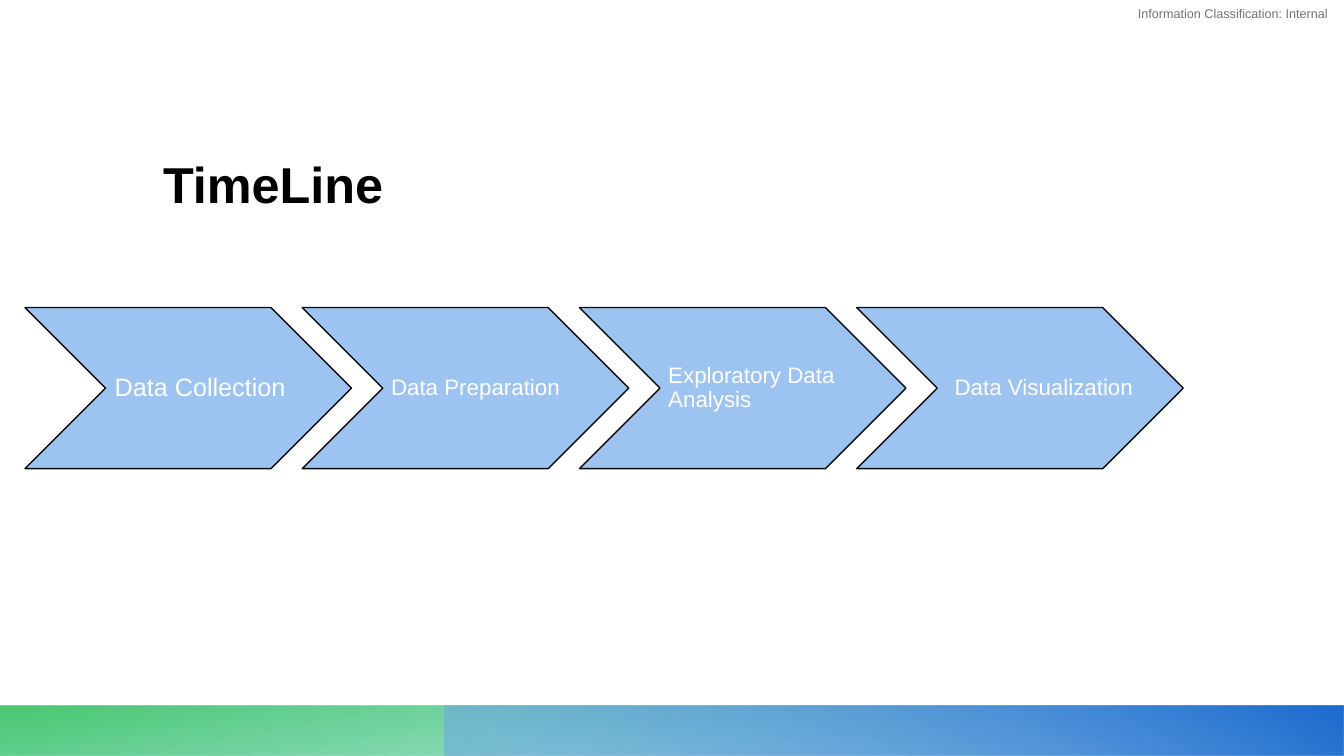
import pptx
import pptx.util
import pptx.dml.color
import pptx.enum.shapes
import pptx.enum.text
import pptx.oxml.ns
from lxml import etree

Cm, Pt = pptx.util.Cm, pptx.util.Pt
RGBColor = pptx.dml.color.RGBColor
qn = pptx.oxml.ns.qn
SHAPE = pptx.enum.shapes.MSO_SHAPE
ALIGN = pptx.enum.text.PP_ALIGN
ANCHOR = pptx.enum.text.MSO_ANCHOR

FONT = "Arial"
BLACK = RGBColor(0x00, 0x00, 0x00)
WHITE = RGBColor(0xFF, 0xFF, 0xFF)
GREY = RGBColor(0x73, 0x73, 0x73)
OUTLINE = RGBColor(0x0C, 0x0C, 0x0C)
STEP_BLUE = RGBColor(0x9D, 0xC3, 0xF1)
TEAL = RGBColor(0x1A, 0xB8, 0x8D)
GREEN = RGBColor(0x28, 0xBD, 0x56)
LIGHT_BLUE = RGBColor(0x6D, 0xA4, 0xEB)
DEEP_BLUE = RGBColor(0x1D, 0x6C, 0xCF)

SLIDE_W, SLIDE_H = 33.87, 19.05


def write(frame, text, size, color, align, anchor, insets, bold=False):
    """Fill a text frame with one run; insets are left, top, right, bottom in cm."""
    frame.word_wrap = True
    frame.vertical_anchor = anchor
    (frame.margin_left, frame.margin_top,
     frame.margin_right, frame.margin_bottom) = [Cm(inset) for inset in insets]
    paragraph = frame.paragraphs[0]
    paragraph.alignment = align
    run = paragraph.add_run()
    run.text = text
    run.font.name, run.font.size, run.font.bold = FONT, Pt(size), bold
    run.font.color.rgb = color
    return paragraph


def gradient_band(slide, box, stops, angle):
    """Stops are (position %, colour, opacity %); the angle runs counter-clockwise."""
    band = slide.shapes.add_shape(SHAPE.RECTANGLE, *[Cm(v) for v in box])
    band.shadow.inherit = False
    band.line.fill.background()
    band.fill.gradient()
    band.fill.gradient_angle = angle
    stop_list = band._element.spPr.find(qn("a:gradFill")).find(qn("a:gsLst"))
    for old_stop in list(stop_list):
        stop_list.remove(old_stop)
    for position, color, opacity in stops:
        stop = etree.SubElement(stop_list, qn("a:gs"), pos=str(position * 1000))
        rgb = etree.SubElement(stop, qn("a:srgbClr"), val=str(color))
        etree.SubElement(rgb, qn("a:alpha"), val=str(opacity * 1000))


def footer(slide, left, top, width, height):
    gradient_band(slide, (left, top, width, height),
                  [(0, TEAL, 27), (14, TEAL, 27), (100, GREEN, 84)], 100)
    green_width = 11.21
    gradient_band(slide, (left + green_width, top, width - green_width, height),
                  [(0, LIGHT_BLUE, 55), (9, LIGHT_BLUE, 55), (99, DEEP_BLUE, 100),
                   (100, DEEP_BLUE, 100)], 60)


def classification(slide, left, top, width, height):
    notice = slide.shapes.add_textbox(Cm(left), Cm(top), Cm(width), Cm(height))
    # The right inset holds the notice off the slide edge
    write(notice.text_frame, "Information Classification: Internal", 9, GREY,
          ALIGN.RIGHT, ANCHOR.MIDDLE, (0, 0, 0.4, 0))


def heading(slide, left, top, width, height):
    title = slide.shapes.title
    title.left, title.top, title.width, title.height = [
        Cm(v) for v in (left, top, width, height)]
    write(title.text_frame, "TimeLine", 36, BLACK, ALIGN.LEFT, ANCHOR.BOTTOM,
          (0.3, 0.3, 0.3, 0.25), bold=True)


def timeline(slide, left, top, width, height):
    # Each step: label, text size, label offset from the chevron, alignment
    steps = [("Data Collection", 18, 2.06, ALIGN.JUSTIFY),
             ("Data Preparation", 16, 2.06, ALIGN.JUSTIFY),
             ("Exploratory Data Analysis", 16, 2.06, ALIGN.LEFT),
             ("Data Visualization", 16, 2.29, ALIGN.LEFT)]
    step_width, label_width = 8.23, 4.93
    pitch = (width - step_width) / (len(steps) - 1)
    for index, (label, size, offset, align) in enumerate(steps):
        step_left = left + index * pitch
        step = slide.shapes.add_group_shape()

        chevron = step.shapes.add_shape(SHAPE.CHEVRON, Cm(step_left), Cm(top),
                                        Cm(step_width), Cm(height))
        chevron.adjustments[0] = 0.5
        chevron.shadow.inherit = False
        chevron.fill.solid()
        chevron.fill.fore_color.rgb = STEP_BLUE
        chevron.line.color.rgb = OUTLINE
        chevron.line.width = Pt(1)

        caption = step.shapes.add_textbox(Cm(step_left + offset), Cm(top),
                                          Cm(label_width), Cm(height))
        paragraph = write(caption.text_frame, label, size, WHITE, align,
                          ANCHOR.MIDDLE, (size / 90, 0.06, 0.06, 0.06))
        paragraph.line_spacing = 0.9


deck = pptx.Presentation()
deck.slide_width, deck.slide_height = Cm(SLIDE_W), Cm(SLIDE_H)
slide = deck.slides.add_slide(deck.slide_layouts[5])

footer(slide, 0, 17.78, SLIDE_W, 1.27)
classification(slide, 28.26, 0, 5.6, 0.66)
heading(slide, 3.81, 2.21, 28.45, 3.43)
timeline(slide, 0.63, 7.75, 29.19, 4.06)

deck.save("out.pptx")
